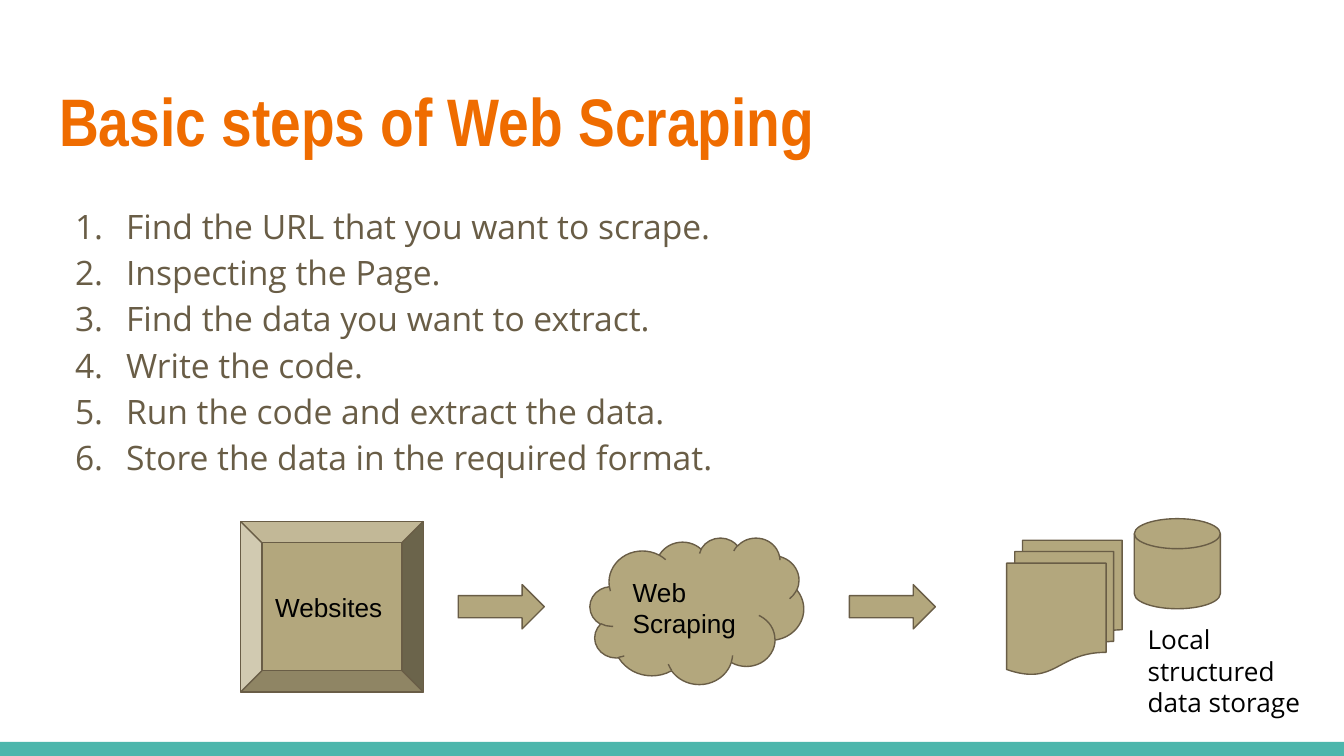
from dataclasses import dataclass

from lxml.etree import SubElement
from pptx import Presentation
from pptx.dml.color import RGBColor
from pptx.enum.shapes import MSO_SHAPE
from pptx.enum.text import MSO_ANCHOR, MSO_AUTO_SIZE, PP_ALIGN
from pptx.oxml.ns import qn
from pptx.util import Inches, Pt


@dataclass(frozen=True)
class Theme:
    title: str = "EF6C00"
    body: str = "695D46"
    label: str = "000000"
    fill: str = "B3A77D"
    bar: str = "4DB6AC"
    title_size: int = 36
    body_size: int = 18
    label_size: int = 14
    line_width: float = 0.75


T = Theme()
prs = Presentation()
prs.slide_width = Inches(10)
prs.slide_height = prs.slide_width * 9 // 16
COL = prs.slide_width / 100
ROW = prs.slide_height / 56.25


def put_text(sp, *lines, font="Arial", size=T.label_size, color=T.label, bold=False,
             anchor=MSO_ANCHOR.TOP, fit=MSO_AUTO_SIZE.NONE, spacing=1.0, numbered=False):
    tf = sp.text_frame
    tf.word_wrap, tf.auto_size, tf.vertical_anchor = True, fit, anchor
    tf.margin_left = tf.margin_right = tf.margin_top = tf.margin_bottom = Inches(0.1)
    for i, line in enumerate(lines):
        p = tf.add_paragraph() if i else tf.paragraphs[0]
        p.alignment, p.line_spacing = PP_ALIGN.LEFT, spacing
        r = p.add_run()
        r.text = line
        r.font.name, r.font.size, r.font.bold = font, Pt(size), bold
        r.font.color.rgb = RGBColor.from_string(color)
        if numbered:
            pPr = p._p.get_or_add_pPr()
            pPr.set("marL", str(Inches(0.5)))
            pPr.set("indent", str(Inches(-0.38)))
            buClr = SubElement(pPr, qn("a:buClr"))
            SubElement(buClr, qn("a:srgbClr"), val=color)
            SubElement(pPr, qn("a:buFont"), typeface=font)
            SubElement(pPr, qn("a:buAutoNum"), type="arabicPeriod")


def cells(x, y, w, h):
    """Turn grid columns and rows into slide lengths."""
    return round(x * COL), round(y * ROW), round(w * COL), round(h * ROW)


s = prs.slides.add_slide(prs.slide_layouts[5])

# Footer bar
bar = s.shapes.add_shape(MSO_SHAPE.RECTANGLE, *cells(0, 55.2, 100, 1.05))
bar.shadow.inherit = False
bar.fill.solid()
bar.fill.fore_color.rgb = RGBColor.from_string(T.bar)
bar.line.fill.background()

# Title
title = s.shapes.title
title.left, title.top, title.width, title.height = cells(3.4, 4.9, 93.2, 7.7)
put_text(title, "Basic steps of Web Scraping", font="Arial Narrow",
         size=T.title_size, color=T.title, bold=True)

# Numbered steps
steps = s.shapes.add_textbox(*cells(3.4, 13.85, 53, 24.9))
put_text(steps,
         "Find the URL that you want to scrape.",
         "Inspecting the Page.",
         "Find the data you want to extract.",
         "Write the code.",
         "Run the code and extract the data.",
         "Store the data in the required format.",
         font="Open Sans", size=T.body_size, color=T.body, spacing=1.15,
         fit=MSO_AUTO_SIZE.TEXT_TO_FIT_SHAPE, numbered=True)

# Flow from websites to storage
flow = [
    (MSO_SHAPE.BEVEL, (17.9, 38.8, 13.6, 12.7), "Websites"),
    (MSO_SHAPE.RIGHT_ARROW, (34.1, 43.5, 6.4, 3.3), ""),
    (MSO_SHAPE.CLOUD, (43.9, 40, 15.9, 10.9), "Web Scraping"),
    (MSO_SHAPE.RIGHT_ARROW, (63.2, 43.5, 6.4, 3.3), ""),
    (MSO_SHAPE.FLOWCHART_MULTIDOCUMENT, (74.9, 40.2, 8.6, 10), ""),
    (MSO_SHAPE.FLOWCHART_MAGNETIC_DISK, (84.4, 38.6, 6.4, 6.7), ""),
]
for kind, area, label in flow:
    sp = s.shapes.add_shape(kind, *cells(*area))
    sp.shadow.inherit = False
    sp.fill.solid()
    sp.fill.fore_color.rgb = RGBColor.from_string(T.fill)
    sp.line.color.rgb = RGBColor.from_string(T.body)
    sp.line.width = Pt(T.line_width)
    if label:
        put_text(sp, label, anchor=MSO_ANCHOR.MIDDLE)

storage = s.shapes.add_textbox(*cells(84.4, 45.4, 14.6, 4.5))
put_text(storage, "Local structured data storage", font="Open Sans")

prs.save("out.pptx")
